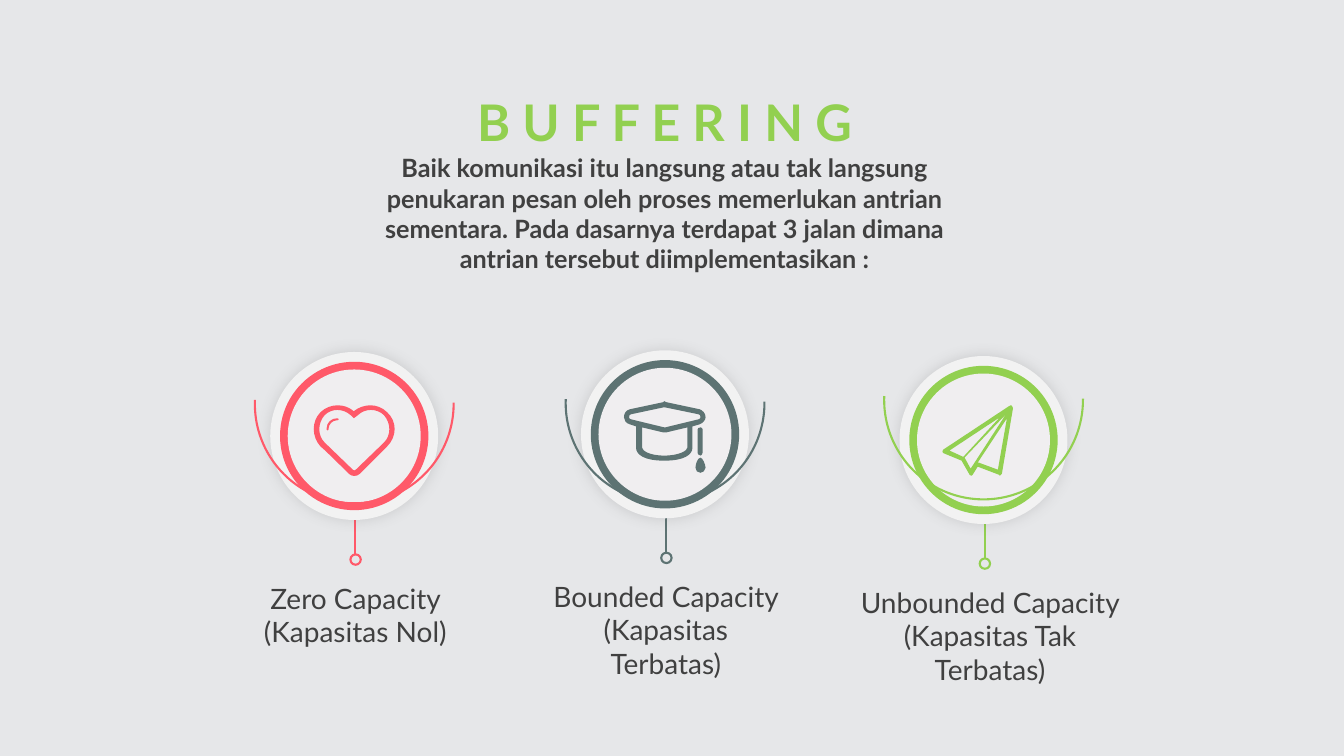
"""Builds the buffering slide with its three kinds of queue capacity."""
from lxml import etree
from pptx import Presentation, util as u
from pptx.dml.color import RGBColor
from pptx.enum import shapes, text
from pptx.oxml.ns import qn

Pt = u.Pt
BACKGROUND = RGBColor(0xE6, 0xE7, 0xE9)
RIM = RGBColor(0xF2, 0xF2, 0xF2)
CORE = RGBColor(0xF0, 0xEE, 0xF0)
INK = RGBColor(0x40, 0x40, 0x40)
SHADE = RGBColor(0x59, 0x59, 0x59)
CORAL = RGBColor(0xFF, 0x59, 0x69)
SLATE = RGBColor(0x5D, 0x73, 0x73)
GREEN = RGBColor(0x92, 0xD0, 0x50)
ICON_UNIT = Pt(0.72)

HEART = [
    ["381,439 | 353,466 | 352,467 351,467 350,466 | 322,439 | 315,432 315,420 322,412"
     " | 329,405 340,405 348,412 | 351,415 | 355,412 | 362,405 374,405 381,412"
     " | 388,420 388,432 381,439",
     "384,409 | 375,400 361,400 351,408 | 342,400 327,400 318,409 | 309,418 309,433 318,443"
     " | 321,445 346,470 346,470 | 349,473 354,473 357,470 | 384,443"
     " | 394,433 394,418 384,409"],
    ["334,415 | 329,415 324,419 324,425 | 324,426 324,427 325,427 | 326,427 326,426 326,425"
     " | 326,421 330,417 334,417 | 335,417 336,417 336,416 | 336,415 335,415 334,415"],
]
CAP = [
    ["659,424 | 626,416 | 625,416 624,415 624,414 | 624,412 625,411 626,411 | 659,404"
     " | 693,411 | 694,411 695,412 695,414 | 695,415 694,416 693,416 | 660,424",
     "682,444 | 682,447 674,452 659,452 | 644,452 637,447 637,444 | 637,424 | 658,429"
     " | 661,429 | 682,424",
     "700,414 | 700,410 697,407 694,406 | 661,399 | 660,399 660,398 659,398"
     " | 659,398 658,399 658,399 | 625,406 | 621,407 619,410 619,414"
     " | 619,417 621,420 625,421 | 631,423 | 631,444 | 631,451 639,457 659,457"
     " | 679,457 687,451 687,444 | 687,423 | 694,421 | 697,420 700,417 700,414"],
    ["692,426 | 692,449 | 692,450 693,452 695,452 | 696,452 697,450 697,449 | 697,426"
     " | 697,425 696,424 695,424 | 693,424 692,425 692,426"],
    ["695,454 | 692,454 690,461 690,464 | 690,467 692,469 695,469"
     " | 697,469 700,467 700,464 | 700,461 697,454 695,454"],
]
PLANE = [
    ["990,466 | 971,459 | 970,459 | 999,415",
     "957,454 | 998,411 | 963,465",
     "942,447 | 992,414 | 956,453 | 955,453",
     "1004,403 | 1003,403 1003,402 1003,402 | 1002,402 1002,403 1001,403 | 936,446"
     " | 936,446 935,447 935,448 | 935,449 936,450 937,450 | 954,457 | 962,471"
     " | 962,471 963,472 964,472 | 964,472 965,471 965,471 | 970,463 | 991,471"
     " | 991,472 991,472 992,472 | 992,472 992,472 993,471 | 993,471 994,470 994,470"
     " | 1005,405 | 1005,404 1004,403 1004,403"],
]


def read_steps(contour):
    """Return the steps of a contour: one point for a line, three for a curve."""
    return [[tuple(map(int, pair.split(","))) for pair in step.split()]
            for step in contour.split("|")]


class Slide:
    """Holds the text style and the current page."""

    def __init__(self, page):
        self.page = page
        self.font = {"name": "Lato", "bold": False}
        self.frame = {"word_wrap": True, "auto_size": text.MSO_AUTO_SIZE.SHAPE_TO_FIT_TEXT}
        page.background.fill.solid()
        page.background.fill.fore_color.rgb = BACKGROUND

    def apply(self, target, formats):
        """Set each format value on the target."""
        for name, value in formats.items():
            setattr(target, name, value)

    def paint(self, shape, fill=None, line=None):
        """Give a shape a flat fill and outline."""
        shape.shadow.inherit = False
        for part, color in ((shape.fill, fill), (shape.line.fill, line)):
            if color is None:
                part.background()
            else:
                part.solid()
                part.fore_color.rgb = color
        if line is not None:
            shape.line.width = Pt(1.5)

    def label(self, words, left, top, width, height, color=INK, **font):
        """Add centred text."""
        box = self.page.shapes.add_textbox(Pt(left), Pt(top), Pt(width), Pt(height))
        self.apply(box.text_frame, self.frame)
        para = box.text_frame.paragraphs[0]
        para.alignment = text.PP_ALIGN.CENTER
        span = para.add_run()
        span.text = words
        self.apply(span.font, {**self.font, **font})
        span.font.color.rgb = color

    def round(self, x, y, size, kind=shapes.MSO_SHAPE.OVAL, **colors):
        """Add a round shape about a centre."""
        shape = self.page.shapes.add_shape(
            kind, Pt(x - size / 2), Pt(y - size / 2), Pt(size), Pt(size))
        self.paint(shape, **colors)
        return shape

    def glow(self, shape):
        """Add a soft shadow on all sides."""
        effects = shape._element.spPr.find(qn("a:effectLst"))
        shadow = etree.SubElement(effects, qn("a:outerShdw"), blurRad=str(Pt(10)), dist="0",
                                  algn="ctr", rotWithShape="0")
        color = etree.SubElement(shadow, qn("a:srgbClr"), val=str(SHADE))
        etree.SubElement(color, qn("a:alpha"), val="20000")

    def arc(self, x, y, size, color):
        """Add the lower half of a circle."""
        arc = self.round(x, y, size, shapes.MSO_SHAPE.ARC, line=color)
        arc.rotation = 135
        arc.adjustments[0], arc.adjustments[1] = 134.516, 28.366

    def stem(self, x, top, bottom, color):
        """Add an upright line."""
        stem = self.page.shapes.add_connector(
            shapes.MSO_CONNECTOR.STRAIGHT, Pt(x), Pt(bottom), Pt(x), Pt(top))
        self.apply(stem.line, {"width": Pt(1.5)})
        stem.line.color.rgb = color
        etree.SubElement(stem._element.spPr, qn("a:effectLst"))

    def bend(self, shape, steps):
        """Join the three lines of each curved step into one Bezier curve."""
        lines = iter(list(shape._element.iter(qn("a:lnTo"))))
        for step in steps:
            first, *others = [next(lines) for _ in step]
            if others:
                curve = etree.Element(qn("a:cubicBezTo"))
                first.addprevious(curve)
                for line in (first, *others):
                    curve.append(line[0])
                    line.getparent().remove(line)

    def icon(self, parts, color):
        """Add one filled outline for each part of an icon."""
        for contours in parts:
            outlines = [read_steps(contour) for contour in contours]
            pen = self.page.shapes.build_freeform(*outlines[0][0][0], scale=ICON_UNIT)
            for number, (start, *steps) in enumerate(outlines):
                if number:
                    pen.move_to(*start[0])
                pen.add_line_segments([point for step in steps for point in step], close=True)
            shape = pen.convert_to_shape()
            self.bend(shape, [step for outline in outlines for step in outline[1:]])
            self.paint(shape, fill=color)

    def badge(self, x, y, lift, color, icon):
        """Add a ringed icon with its arc, stem and dot."""
        self.stem(x + 0.8, y + 60, y + 84.5, color)
        self.glow(self.round(x, y, 120, fill=RIM))
        self.round(x, y, 106, fill=color)
        self.round(x, y, 95, fill=CORE)
        self.arc(x, y - lift, 142, color)
        self.round(x + 1, y + 88.3, 7.4, line=color)
        self.icon(icon, color)


deck = Presentation()
deck.slide_width, deck.slide_height = Pt(960), Pt(540)
slide = Slide(deck.slides.add_slide(deck.slide_layouts[6]))
slide.label("B U F F E R I N G", 284.2, 61.2, 381, 51, GREEN, size=Pt(36), bold=True)
slide.label("Baik komunikasi itu langsung atau tak langsung penukaran pesan oleh proses "
            "memerlukan antrian sementara. Pada dasarnya terdapat 3 jalan dimana antrian "
            "tersebut diimplementasikan :", 258.3, 105.6, 432.7, 94.3, size=Pt(18), bold=True)

CAPACITIES = [
    ("Zero Capacity (Kapasitas Nol)", 253, 311.4, 22.9, CORAL, HEART, 253.8, 182),
    ("Bounded Capacity (Kapasitas Terbatas)", 475, 310.2, 22.3, SLATE, CAP, 475.6, 182),
    ("Unbounded Capacity (Kapasitas Tak Terbatas)", 702.5, 314.3, 28.6, GREEN, PLANE, 707.2, 210),
]
for name, x, y, lift, color, icon, middle, width in CAPACITIES:
    slide.badge(x, y, lift, color, icon)
    slide.label(name, middle - width / 2, y + 100.1, width, 55.4, size=Pt(20))

deck.save("out.pptx")
